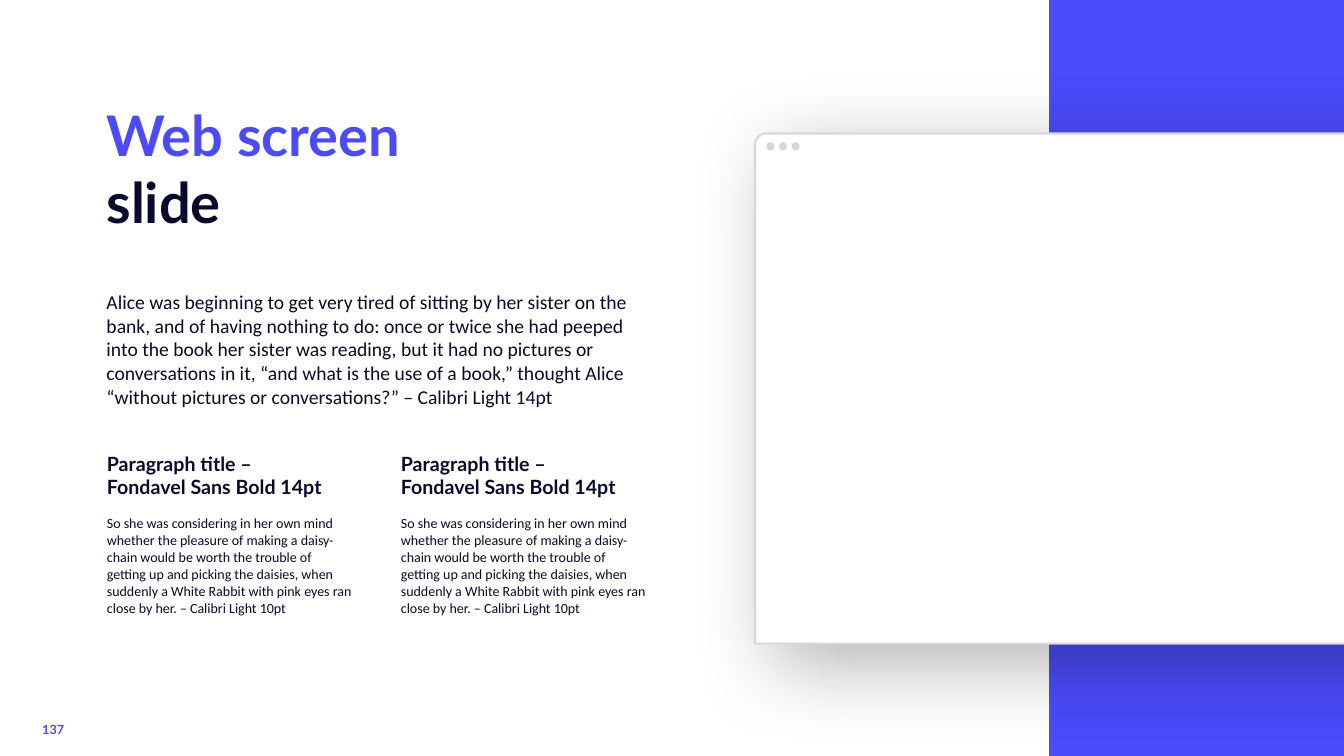
from dataclasses import dataclass

import lxml.etree
import pptx
import pptx.dml.color
import pptx.enum.shapes
import pptx.enum.text
import pptx.oxml
import pptx.oxml.ns
import pptx.shapes.autoshape
import pptx.slide
import pptx.util

Pt = pptx.util.Pt
Shapes = pptx.enum.shapes.MSO_SHAPE


@dataclass(frozen=True)
class Theme:
    accent: str = "4B4BF9"
    ink: str = "09092D"
    paper: str = "FFFFFF"
    frame: str = "D6D6E3"
    heading_font: str = "Lato"
    body_font: str = "Calibri"
    title_size: float = 40
    lead_size: float = 14
    note_size: float = 10
    page_size: float = 9


THEME = Theme()


@dataclass(frozen=True)
class Box:
    left: float
    top: float
    width: float
    height: float

    def points(self) -> tuple:
        return Pt(self.left), Pt(self.top), Pt(self.width), Pt(self.height)


@dataclass(frozen=True)
class Copy:
    """A text block; each line is its wording and colour."""
    box: Box
    lines: tuple[tuple[str, str], ...]
    size: float
    bold: bool = False
    inset: tuple[float, float] = (7.2, 3.6)
    spacing: float = 1.0


@dataclass(frozen=True)
class Panel:
    box: Box
    kind: Shapes
    fill: str
    line: str | None = None


def colour(code: str) -> pptx.dml.color.RGBColor:
    return pptx.dml.color.RGBColor.from_string(code)


def draw_copy(slide: pptx.slide.Slide, block: Copy) -> None:
    frame = slide.shapes.add_textbox(*block.box.points()).text_frame
    frame.word_wrap = True
    frame.vertical_anchor = pptx.enum.text.MSO_ANCHOR.TOP
    frame.margin_left = frame.margin_right = Pt(block.inset[0])
    frame.margin_top = frame.margin_bottom = Pt(block.inset[1])
    paragraph = frame.paragraphs[0]
    paragraph.line_spacing = block.spacing
    paragraph.font.size = Pt(block.size)
    paragraph.font.bold = block.bold
    paragraph.font.name = THEME.heading_font if block.bold else THEME.body_font
    for index, (wording, code) in enumerate(block.lines):
        if index:
            paragraph.add_line_break()
        run = paragraph.add_run()
        run.text = wording
        run.font.color.rgb = colour(code)


def draw_panel(slide: pptx.slide.Slide, panel: Panel) -> pptx.shapes.autoshape.Shape:
    shape = slide.shapes.add_shape(panel.kind, *panel.box.points())
    shape.shadow.inherit = False
    shape.fill.solid()
    shape.fill.fore_color.rgb = colour(panel.fill)
    if panel.line:
        shape.line.color.rgb = colour(panel.line)
        shape.line.width = Pt(1.5)
    else:
        shape.line.fill.background()
    return shape


def add_soft_shadow(shape: pptx.shapes.autoshape.Shape) -> None:
    effects = shape.element.spPr.find(pptx.oxml.ns.qn("a:effectLst"))
    shadow = lxml.etree.SubElement(
        effects, pptx.oxml.ns.qn("a:outerShdw"),
        blurRad=str(Pt(60)), dist=str(Pt(20)), dir=str(45 * 60000),
        algn="tl", rotWithShape="0")
    tint = lxml.etree.SubElement(shadow, pptx.oxml.ns.qn("a:srgbClr"), val="000000")
    lxml.etree.SubElement(tint, pptx.oxml.ns.qn("a:alpha"), val="30000")


def draw_browser(slide: pptx.slide.Slide) -> None:
    window = draw_panel(slide, Panel(Box(539.3, 95.4, 616.3, 364.3),
                                     Shapes.ROUND_2_SAME_RECTANGLE, THEME.paper, THEME.frame))
    window.adjustments[0] = 0.022
    window.adjustments[1] = 0
    add_soft_shadow(window)
    # Window buttons
    for index in range(3):
        draw_panel(slide, Panel(Box(547.4 + 9 * index, 101.6, 5.8, 5.8),
                                Shapes.OVAL, THEME.frame))


LEAD = ("Alice was beginning to get very tired of sitting by her sister on the bank, "
        "and of having nothing to do: once or twice she had peeped into the book her "
        "sister was reading, but it had no pictures or conversations in it, “and what "
        "is the use of a book,” thought Alice “without pictures or conversations?” "
        "– Calibri Light 14pt")
NOTE = ("So she was considering in her own mind whether the pleasure of making a "
        "daisy-chain would be worth the trouble of getting up and picking the daisies, "
        "when suddenly a White Rabbit with pink eyes ran close by her. "
        "– Calibri Light 10pt")
TEXT_LEFT = 69
COLUMN_STEP = 210


def main() -> None:
    deck = pptx.Presentation()
    deck.slide_width, deck.slide_height = Pt(960), Pt(540)
    slide = deck.slides.add_slide(deck.slide_layouts[6])

    # Page number and side band
    draw_copy(slide, Copy(Box(26.6, 513.4, 28.8, 17.3), (("137", THEME.accent),),
                          THEME.page_size, bold=True, inset=(3.6, 3.6), spacing=0.9))
    draw_panel(slide, Panel(Box(749.3, 0, 210.7, 540), Shapes.RECTANGLE, THEME.accent))

    # Browser window
    draw_browser(slide)

    # Title and lead text
    draw_copy(slide, Copy(Box(TEXT_LEFT, 68.4, 399.6, 152.6),
                          (("Web screen", THEME.accent), ("slide", THEME.ink)),
                          THEME.title_size, bold=True))
    draw_copy(slide, Copy(Box(TEXT_LEFT, 203.8, 398.9, 93),
                          ((LEAD, THEME.ink),), THEME.lead_size))

    # Two titled columns
    for column in range(2):
        left = TEXT_LEFT + 0.3 + column * COLUMN_STEP
        draw_copy(slide, Copy(Box(left, 319, 189.4, 41),
                              (("Paragraph title –", THEME.ink),
                               ("Fondavel Sans Bold 14pt", THEME.ink)),
                              THEME.lead_size, bold=True))
        draw_copy(slide, Copy(Box(left, 364.3, 189.4, 80),
                              ((NOTE, THEME.ink),), THEME.note_size))

    deck.save("out.pptx")


if __name__ == "__main__":
    main()
